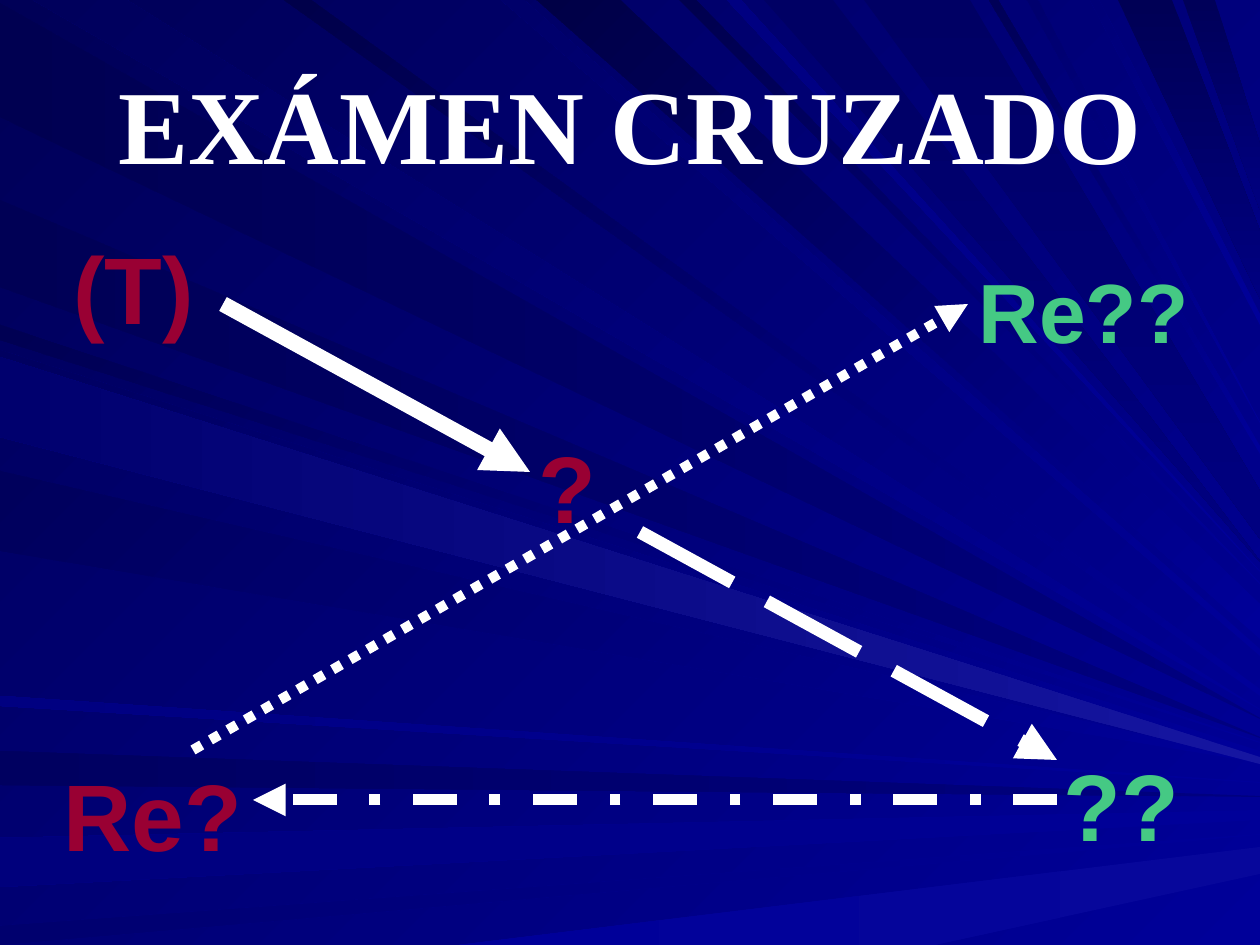
from lxml import etree
from pptx import Presentation
from pptx import util as u
from pptx.dml.color import RGBColor
from pptx.enum import dml, shapes, text
from pptx.oxml import ns

PX = u.Inches(1) / 126
WIDTH, HEIGHT = 1260, 945
WHITE, RED, GREEN = "FFFFFF", "990033", "45C984"
BLUE, NAVY = "000099", "000080"
LEFT, UP_LEFT, DOWN = 180, 135, 270  # gradient angles, counter-clockwise

# Rays run from one slide edge to the right edge and narrow on the way:
# colours, gradient angle, start span, end height and, if wide, end width
LEFT_RAYS = [
    (NAVY, "000051", LEFT, 3, 117, 718),
    (NAVY, "000060", LEFT, 751, 785, 796),
    (BLUE, "00007C", LEFT, 838, 887, 810, 10),
    (BLUE, "00006E", LEFT, 926, 945, 834),
    (BLUE, "000053", UP_LEFT, 325, 340, 742),
    (NAVY, "000055", LEFT, 200, 287, 737),
    (BLUE, "000060", UP_LEFT, 350, 431, 751, 8),
    (BLUE, "00005C", UP_LEFT, 471, 551, 762),
    (BLUE, "000081", LEFT, 696, 706, 782),
    ("1616A1", "00006E", LEFT, 357, 437, 757, 7),
]
TOP_RAYS = [
    (BLUE, "00005C", UP_LEFT, 33, 127, 709),
    (BLUE, "00006A", UP_LEFT, 501, 524, 649, 7),
    (BLUE, "000046", UP_LEFT, 537, 620, 604, 35),
    (BLUE, "00004E", UP_LEFT, 680, 696, 583),
    ("000064", NAVY, DOWN, 764, 833, 561),
    ("000055", NAVY, DOWN, 1118, 1172, 231, 68),
    ("000059", NAVY, DOWN, 1183, 1215, 144, 66),
    (BLUE, "00004A", UP_LEFT, 284, 311, 689, 7),
    (BLUE, "000081", UP_LEFT, 727, 741, 571),
    ("000064", NAVY, DOWN, 864, 970, 491, 48),
    (BLUE, "000057", UP_LEFT, 989, 998, 446, 8),
    (BLUE, "00006E", UP_LEFT, 1027, 1038, 422),
    (BLUE, "000078", UP_LEFT, 1090, 1099, 314, 11),
]
BOTTOM_RAYS = [("07079B", BLUE, LEFT, 459, 935, 847, 27)]

# Labels: text, box, colour, size
LABELS = [
    ("?", (512, 413, 110, 126), RED, 54),
    ("(T)", (44, 214, 179, 126), RED, 54),
    ("??", (1037, 731, 169, 126), GREEN, 54),
    ("Re?", (44, 741, 218, 126), RED, 54),
    ("Re??", (907, 244, 353, 113), GREEN, 48),
]

# Arrows: start, end, width in points, dash
ARROWS = [
    ((223, 304), (530, 472), 9, None),
    ((640, 532), (1057, 760), 7.5, dml.MSO_LINE.LONG_DASH),
    ((1057, 800), (253, 800), 6.25, dml.MSO_LINE.DASH_DOT),
    ((193, 750), (968, 304), 5.75, dml.MSO_LINE.ROUND_DOT),
]


def px(n):
    return u.Emu(round(n * PX))


def rgb(color):
    return RGBColor.from_string(color)


def paint(fill, start, end, angle):
    fill.gradient()
    fill.gradient_angle = angle
    for stop, color in zip(fill.gradient_stops, (start, end)):
        stop.color.rgb = rgb(color)


def add_ray(s, edge, start, end, angle, near, far, height, width=1):
    """Draw a ray whose start span lies on the edge given as a function."""
    builder = s.shapes.build_freeform(*edge(far), scale=PX)
    builder.add_line_segments([edge(near), (WIDTH, height), (WIDTH, height + width)]
                              if edge(near)[0] == 0 or edge(near)[1] > 0
                              else [edge(near), (WIDTH, height + width), (WIDTH, height)])
    sp = builder.convert_to_shape()
    sp.shadow.inherit = False
    sp.line.fill.background()
    paint(sp.fill, start, end, angle)


def add_text(s, content, box, color, size, font="Arial", anchor=text.MSO_ANCHOR.TOP, grow=True):
    tf = s.shapes.add_textbox(*map(px, box)).text_frame
    tf.word_wrap = True
    tf.auto_size = text.MSO_AUTO_SIZE.SHAPE_TO_FIT_TEXT if grow else text.MSO_AUTO_SIZE.NONE
    tf.vertical_anchor = anchor
    p = tf.paragraphs[0]
    p.alignment = text.PP_ALIGN.CENTER
    p.line_spacing = 1.09
    r = p.add_run()
    r.text = content
    r.font.name, r.font.size, r.font.bold = font, u.Pt(size), True
    r.font.color.rgb = rgb(color)


def add_arrow(s, start, end, width, dash):
    arrow = s.shapes.add_connector(shapes.MSO_CONNECTOR.STRAIGHT, *map(px, start + end))
    arrow.line.width = u.Pt(width)
    arrow.line.color.rgb = rgb(WHITE)
    if dash is not None:
        arrow.line.dash_style = dash
    props = arrow._element.spPr
    etree.SubElement(props.find(ns.qn("a:ln")), ns.qn("a:tailEnd"), type="triangle")
    etree.SubElement(props, ns.qn("a:effectLst"))


def main():
    prs = Presentation()
    prs.slide_width, prs.slide_height = px(WIDTH), px(HEIGHT)
    s = prs.slides.add_slide(prs.slide_layouts[6])

    # Background
    paint(s.background.fill, BLUE, "000057", UP_LEFT)
    for edge, rays in ((lambda x: (x, HEIGHT), BOTTOM_RAYS),
                       (lambda x: (x, 0), TOP_RAYS),
                       (lambda y: (0, y), LEFT_RAYS)):
        for ray in rays:
            add_ray(s, edge, *ray)

    # Title
    add_text(s, "EXÁMEN CRUZADO", (63, 38, 1134, 157), WHITE, 60, font="Times New Roman",
             anchor=text.MSO_ANCHOR.MIDDLE, grow=False)

    # Crossed diagram
    for arrow in ARROWS:
        add_arrow(s, *arrow)
    for label in LABELS:
        add_text(s, *label)

    prs.save("out.pptx")


if __name__ == "__main__":
    main()
